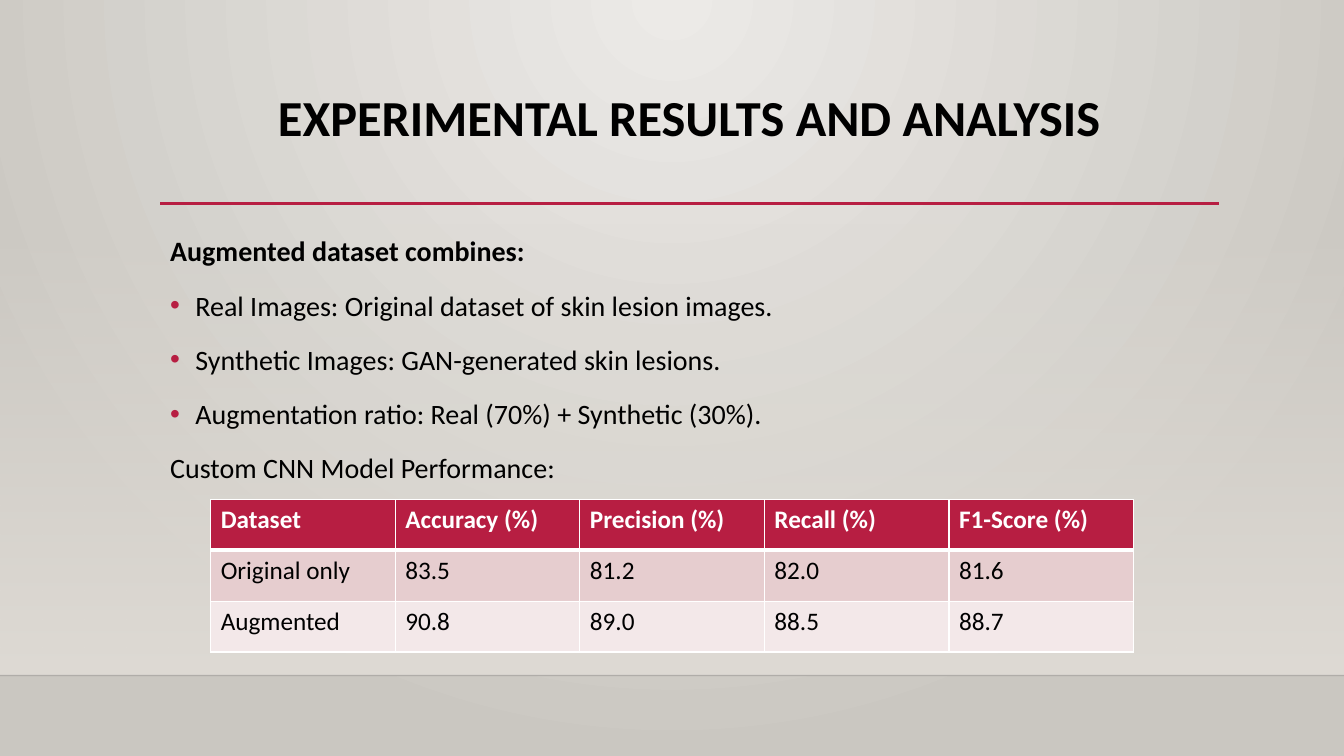
from dataclasses import dataclass

from pptx import Presentation
from pptx.dml.color import RGBColor as Rgb
from pptx.enum.shapes import MSO_CONNECTOR as Connector, MSO_SHAPE as Preset
from pptx.enum.text import MSO_ANCHOR as Anchor, PP_ALIGN as Align
from pptx.oxml import parse_xml
from pptx.oxml.ns import nsdecls, qn
from pptx.util import Pt


@dataclass(frozen=True)
class Theme:
    font: str = "Calibri"
    title_size: int = 36
    body_size: int = 20
    table_size: int = 18
    ink: str = "000000"
    edge: str = "000001"
    white: str = "FFFFFF"
    accent: str = "B71E42"
    wall: str = "DFDBD5"
    glow: str = "ECEAE7"
    floor: str = "CAC7C1"
    bands: tuple = ("E6CDCF", "F3E8E9")


def element(markup):
    """Parse one DrawingML element, adding its namespace."""
    tag, rest = markup.split(">", 1)
    close = "/" if tag.endswith("/") else ""
    return parse_xml(f"{tag.rstrip('/')} {nsdecls('a')}{close}>{rest}")


class SlideBuilder:
    def __init__(self, page, theme):
        self.page, self.theme = page, theme

    def gradient(self, fill, owner, stops, shade):
        fill.background()
        marks = "".join(
            f'<a:gs pos="{place * 1000}"><a:srgbClr val="{color}">'
            f'<a:alpha val="{alpha * 1000}"/></a:srgbClr></a:gs>'
            for place, color, alpha in stops)
        empty = next(owner.iter(qn("a:noFill")))
        empty.getparent().replace(empty, element(
            f'<a:gradFill rotWithShape="1"><a:gsLst>{marks}</a:gsLst>{shade}</a:gradFill>'))

    def backdrop(self, stops, shade):
        self.gradient(self.page.background.fill, self.page._element, stops, shade)

    def panel(self, left, top, width, height, stops, shade):
        shape = self.page.shapes.add_shape(
            Preset.RECTANGLE, Pt(left), Pt(top), Pt(width), Pt(height))
        shape.shadow.inherit = False
        self.gradient(shape.fill, shape._element.spPr, stops, shade)
        shape.line.fill.background()

    def rule(self, left, right, y, color, weight, opacity=100):
        line = self.page.shapes.add_connector(
            Connector.STRAIGHT, Pt(left), Pt(y), Pt(right), Pt(y))
        line.line.color.rgb = Rgb.from_string(color)
        line.line.width = Pt(weight)
        properties = line._element.spPr
        if opacity < 100:
            next(properties.iter(qn("a:srgbClr"))).append(
                element(f'<a:alpha val="{opacity * 1000}"/>'))
        properties.append(element("<a:effectLst/>"))

    def add_span(self, para, text, size, color, bold=False):
        span = para.add_run()
        span.text = text
        span.font.name, span.font.size, span.font.bold = self.theme.font, Pt(size), bold
        span.font.color.rgb = Rgb.from_string(color)

    def text_frame(self, left, top, width, height):
        box = self.page.shapes.add_textbox(Pt(left), Pt(top), Pt(width), Pt(height))
        frame = box.text_frame
        frame.word_wrap = True
        frame.vertical_anchor = Anchor.TOP
        return frame

    def title(self, text, *place):
        para = self.text_frame(*place).paragraphs[0]
        para.alignment, para.line_spacing = Align.CENTER, 0.9
        self.add_span(para, text, self.theme.title_size, self.theme.ink, True)

    def body(self, lines, *place):
        frame = self.text_frame(*place)
        for index, (text, kind) in enumerate(lines):
            para = frame.add_paragraph() if index else frame.paragraphs[0]
            para.line_spacing, para.space_before = 1.2, Pt(10)
            if kind == "bullet":
                self.bullet(para)
            self.add_span(para, text, self.theme.body_size, self.theme.ink, kind == "heading")

    def bullet(self, para):
        properties = para._p.get_or_add_pPr()
        properties.set("marL", str(Pt(18)))
        properties.set("indent", str(-Pt(18)))
        for markup in (f'<a:buClr><a:srgbClr val="{self.theme.accent}"/></a:buClr>',
                       '<a:buFont typeface="Arial"/>', '<a:buChar char="•"/>'):
            properties.append(element(markup))

    def table(self, rows, left, top, column_width, row_height):
        theme = self.theme
        count = len(rows[0])
        grid = self.page.shapes.add_table(
            len(rows), count, Pt(left), Pt(top),
            Pt(column_width * count), Pt(row_height * len(rows))).table
        for column in grid.columns:
            column.width = Pt(column_width)
        for index, values in enumerate(rows):
            header = index == 0
            grid.rows[index].height = Pt(row_height)
            for cell, value in zip(grid.rows[index].cells, values):
                color = theme.accent if header else theme.bands[(index - 1) % 2]
                cell.fill.solid()
                cell.fill.fore_color.rgb = Rgb.from_string(color)
                self.add_span(cell.text_frame.paragraphs[0], value, theme.table_size,
                              theme.white if header else theme.ink, header)
                self.borders(cell, top=3 if index == 1 else 1, bottom=3 if header else 1)

    def borders(self, cell, top, bottom):
        properties = cell._tc.get_or_add_tcPr()
        for order, (side, weight) in enumerate(zip("LRTB", (1, 1, top, bottom))):
            properties.insert(order, element(
                f'<a:ln{side} w="{Pt(weight)}"><a:solidFill>'
                f'<a:srgbClr val="{self.theme.white}"/></a:solidFill></a:ln{side}>'))


def main():
    deck = Presentation()
    deck.slide_width, deck.slide_height = Pt(960), Pt(540)
    theme = Theme()
    slide = SlideBuilder(deck.slides.add_slide(deck.slide_layouts[6]), theme)

    # Wall and floor
    slide.backdrop(
        [(0, theme.glow, 100), (100, theme.floor, 100)],
        '<a:path path="circle"><a:fillToRect l="43000" r="43000" b="100000"/></a:path>')
    slide.panel(0, 159, 960, 323.5, [(0, theme.wall, 0), (100, theme.wall, 100)],
                '<a:lin ang="5400000" scaled="0"/>')
    slide.rule(0, 960, 482.5, theme.edge, 1, opacity=20)

    # Title
    slide.rule(114.5, 871, 145.3, theme.accent, 2.5)
    slide.title("EXPERIMENTAL RESULTS AND ANALYSIS", 114.5, 63.2, 756, 82.6)

    # Dataset description
    slide.body([
        ("Augmented dataset combines:", "heading"),
        ("Real Images: Original dataset of skin lesion images.", "bullet"),
        ("Synthetic Images: GAN-generated skin lesions.", "bullet"),
        ("Augmentation ratio: Real (70%) + Synthetic (30%).", "bullet"),
        ("Custom CNN Model Performance:", "plain"),
    ], 114.5, 158.6, 756, 271.4)

    # Model performance
    slide.table([
        ("Dataset", "Accuracy (%)", "Precision (%)", "Recall (%)", "F1-Score (%)"),
        ("Original only", "83.5", "81.2", "82.0", "81.6"),
        ("Augmented", "90.8", "89.0", "88.5", "88.7"),
    ], 150.5, 356.8, 131.85, 36.3)

    deck.save("out.pptx")


if __name__ == "__main__":
    main()
